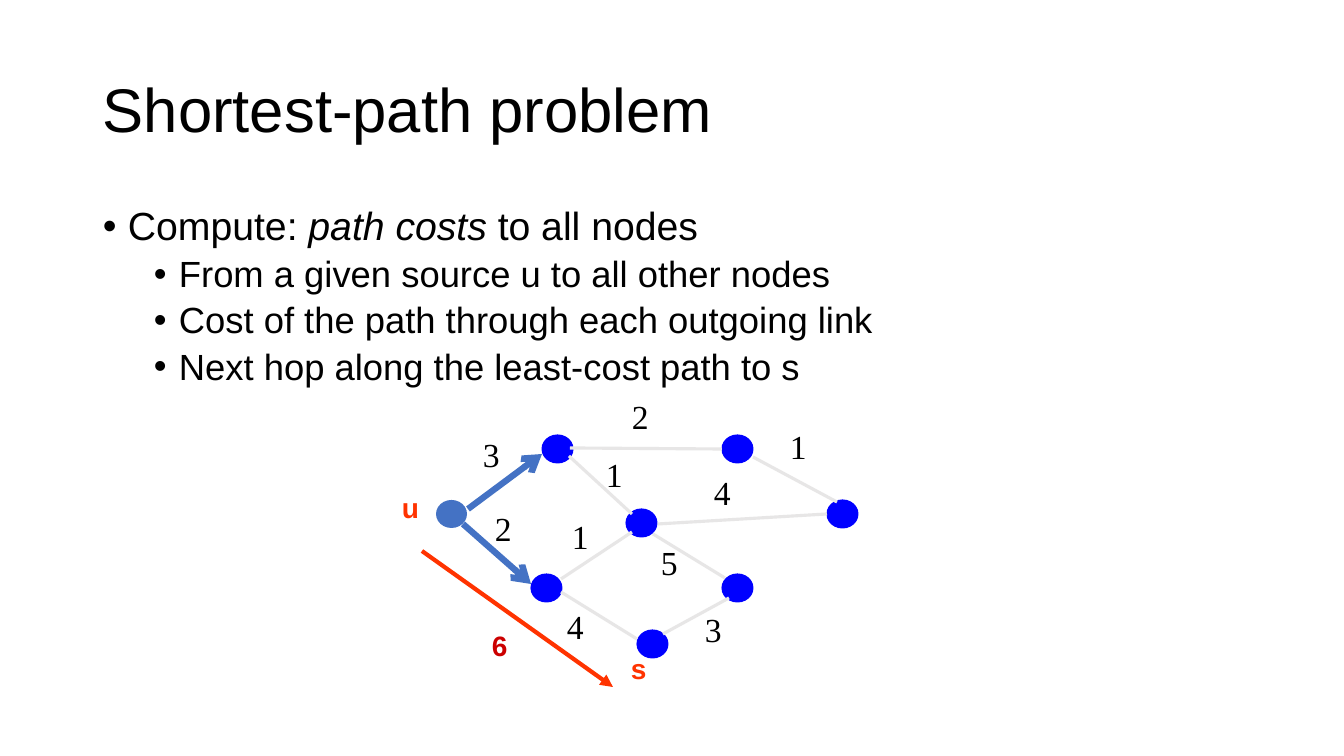
from lxml.etree import SubElement as Sub
from pptx import Presentation as Deck
from pptx.dml.color import RGBColor as RGB
from pptx.enum.shapes import MSO_CONNECTOR as LINK, MSO_SHAPE as FORM
from pptx.enum.text import MSO_ANCHOR as ANCHOR, MSO_AUTO_SIZE as FIT
from pptx.oxml.ns import qn
from pptx.util import Pt

SCALE = 914400 / 100.8
BLACK = RGB(0x00, 0x00, 0x00)
BLUE = RGB(0x00, 0x00, 0xFF)
STEEL = RGB(0x44, 0x72, 0xC4)
GREY = RGB(0xE7, 0xE6, 0xE6)
RED = RGB(0xFF, 0x33, 0x00)
DARK = RGB(0xCC, 0x00, 0x00)


def emu(*sizes):
    return [round(size * SCALE) for size in sizes]


def put(item, **form):
    for key, value in form.items():
        setattr(item, key, value)


class Page:
    title = dict(name="Arial", size=Pt(44))
    body = dict(name="Arial", size=Pt(28))
    point = dict(name="Arial", size=Pt(26))
    cost = dict(name="Times New Roman", size=Pt(24))
    mark = dict(name="Arial", size=Pt(20), bold=True)

    def __init__(self, deck):
        self.slide = deck.slides.add_slide(deck.slide_layouts[6])
        self.shapes = self.slide.shapes

    def box(self, left, top, width, height, **form):
        frame = self.shapes.add_textbox(*emu(left, top, width, height)).text_frame
        put(frame, **{"word_wrap": True, **form})
        return frame

    def words(self, para, text, style, color=BLACK, **form):
        run = para.add_run()
        run.text = text
        put(run.font, **style, **form)
        run.font.color.rgb = color

    def label(self, text, left, top, height, style, color=BLACK):
        frame = self.box(left, top, 37, height, word_wrap=False,
                         auto_size=FIT.SHAPE_TO_FIT_TEXT)
        self.words(frame.paragraphs[0], text, style, color)

    def bullet(self, para, indent, level=0, **form):
        props = para._p.get_or_add_pPr()
        left, hang = emu(indent, -25)
        props.set("marL", str(left))
        props.set("indent", str(hang))
        Sub(props, qn("a:buFont"), typeface="Arial")
        Sub(props, qn("a:buChar"), char="•")
        put(para, level=level, line_spacing=0.9, **form)

    def node(self, left, top, color, edge=True):
        dot = self.shapes.add_shape(FORM.OVAL, *emu(left, top, 31, 28))
        dot.shadow.inherit = False
        dot.fill.solid()
        dot.fill.fore_color.rgb = color
        if edge:
            dot.line.color.rgb = color
            dot.line.width = Pt(0.75)
        else:
            dot.line.fill.background()

    def link(self, ends, color, width, head=None):
        line = self.shapes.add_connector(LINK.STRAIGHT, *emu(*ends))
        line.line.color.rgb = color
        line.line.width = Pt(width)
        props = line._element.spPr
        if head:
            Sub(props.find(qn("a:ln")), qn("a:tailEnd"), type=head)
        Sub(props, qn("a:effectLst"))


def main():
    deck = Deck()
    deck.slide_width, deck.slide_height = emu(1344, 756)
    page = Page(deck)

    # Title
    frame = page.box(93, 40, 1159, 146, vertical_anchor=ANCHOR.MIDDLE)
    para = frame.paragraphs[0]
    para.line_spacing = 0.9
    page.words(para, "Shortest-path problem", page.title)

    # Bullets
    frame = page.box(93, 202, 1159, 480)
    para = frame.paragraphs[0]
    page.bullet(para, 25)
    page.words(para, "Compute: ", page.body)
    page.words(para, "path costs", page.body, italic=True)
    page.words(para, " to all nodes", page.body)
    for text in ("From a given source u to all other nodes",
                 "Cost of the path through each outgoing link",
                 "Next hop along the least-cost path to s"):
        para = frame.add_paragraph()
        page.bullet(para, 76, level=1, space_before=Pt(5))
        page.words(para, text, page.point)

    # Nodes
    page.node(436, 500, STEEL, edge=False)
    for left, top in ((531, 574), (542, 435), (626, 509), (722, 574),
                      (722, 435), (637, 630), (827, 500)):
        page.node(left, top, BLUE)

    # Links out of the source
    for ends in ((468, 509, 542, 454), (463, 524, 531, 584)):
        page.link(ends, STEEL, 4.5, "arrow")

    # Other links
    for ends in ((569, 456, 632, 514), (561, 592, 637, 639),
                 (561, 579, 632, 532), (653, 534, 725, 578),
                 (663, 634, 729, 598), (658, 524, 827, 514),
                 (570, 448, 722, 449), (753, 457, 837, 502)):
        page.link(ends, GREY, 2.25)

    # Link costs
    for text, left, top in (("3", 473, 429), ("2", 622, 391), ("2", 485, 503),
                            ("1", 596, 449), ("1", 562, 511), ("4", 704, 467),
                            ("1", 780, 421), ("4", 557, 601), ("5", 651, 537),
                            ("3", 695, 604)):
        page.label(text, left, top, 50, page.cost)

    # Path from u to s and its cost
    page.link((422, 551, 613, 687), RED, 3, "triangle")
    for text, left, top, color in (("u", 392, 486, RED), ("s", 621, 647, RED),
                                   ("6", 482, 624, DARK)):
        page.label(text, left, top, 43, page.mark, color)

    deck.save("out.pptx")


if __name__ == "__main__":
    main()
